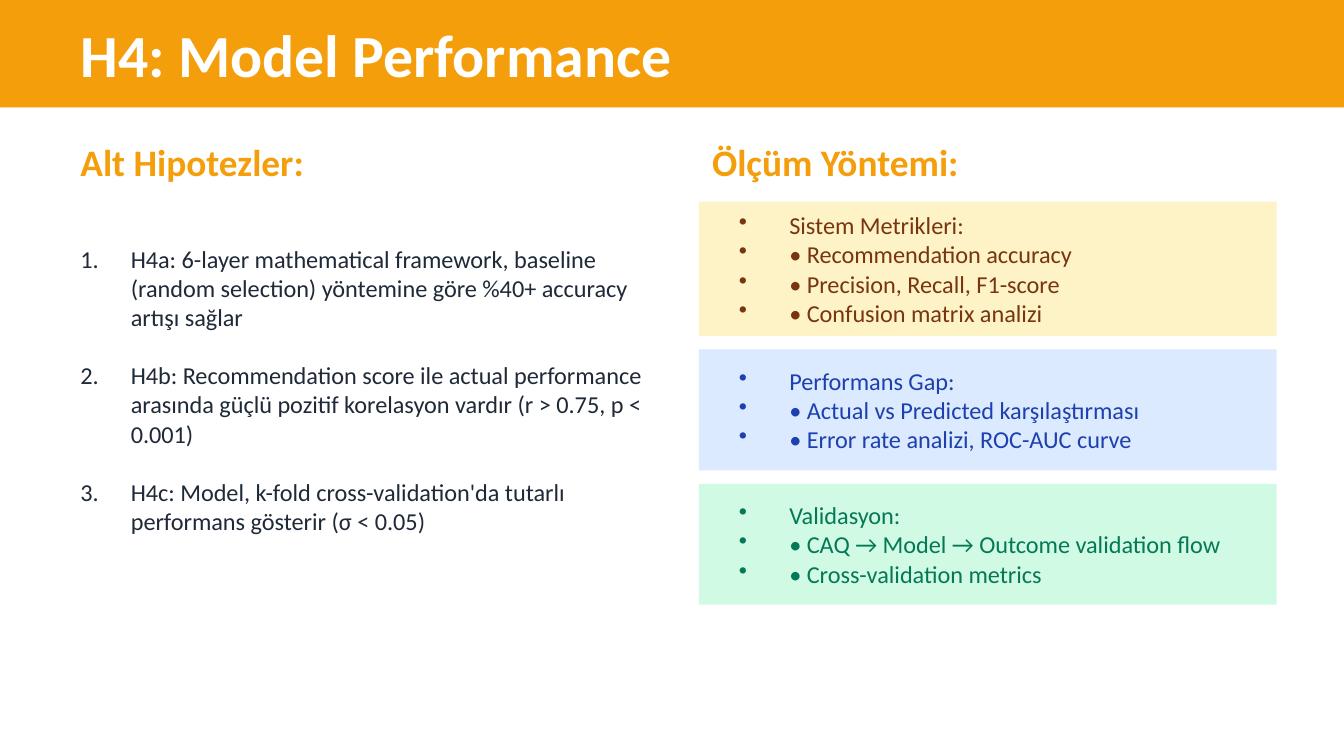
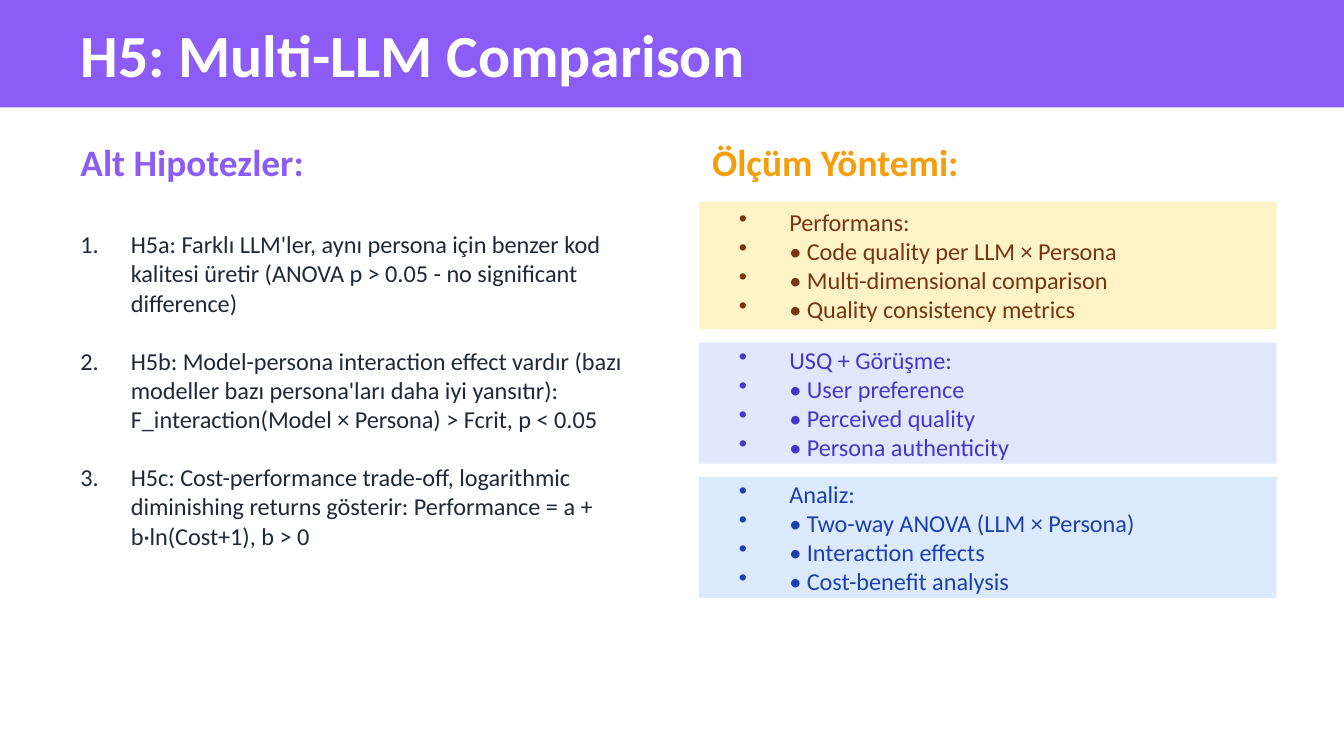
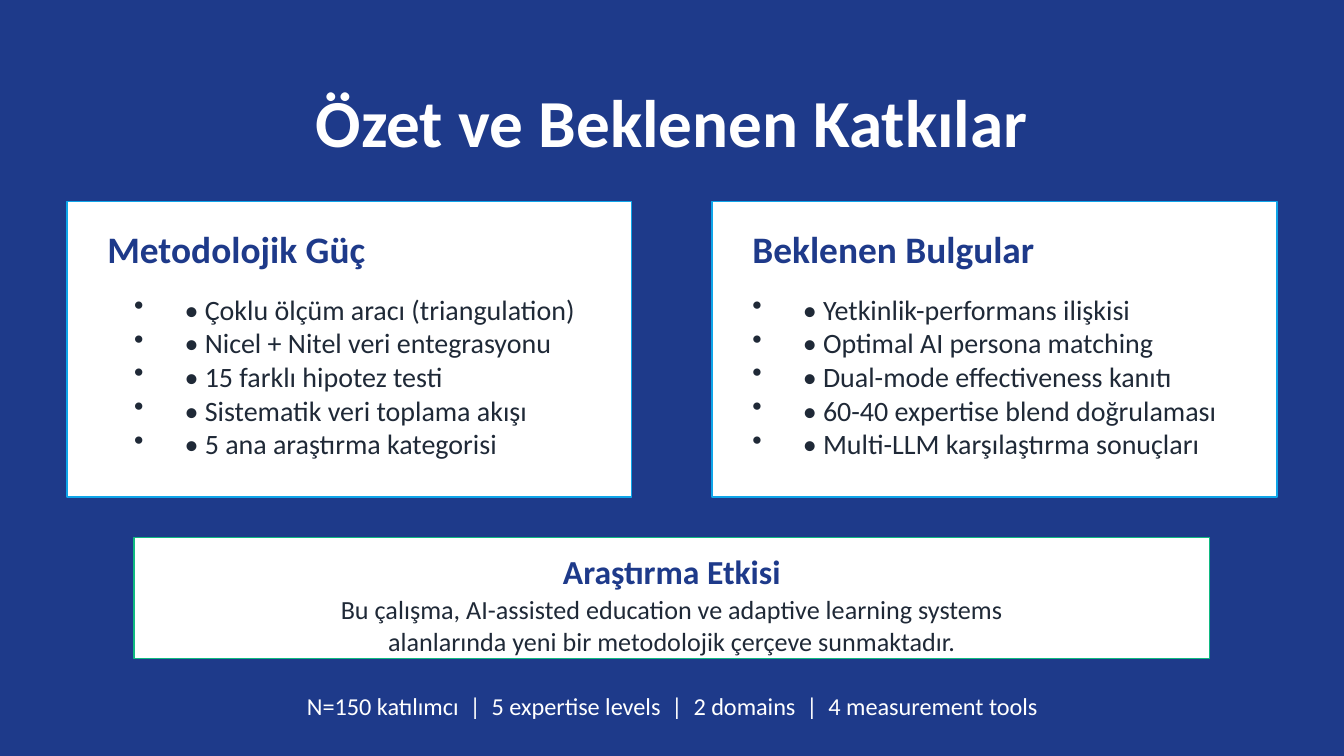
from lxml import etree
from pptx import Presentation
from pptx import util as u
from pptx.dml.color import RGBColor
from pptx.enum import shapes, text
from pptx.oxml.ns import qn

CELL = 0.1  # grid cell in inches: 100 columns across the slide
COLS = 100
ROWS = COLS * 9 / 16
FONT = "Calibri"
WHITE, INK, NAVY = "FFFFFF", "1F2937", "1E3A8A"
AMBER, VIOLET, SKY, GREEN = "F59E0B", "8B5CF6", "0EA5E9", "10B981"
# Panel styles: fill and text colour
SAND = ("FEF3C7", "78350F")
BLUE = ("DBEAFE", "1E40AF")
MINT = ("D1FAE5", "047857")
IRIS = ("E0E7FF", "4338CA")
LEFT, RIGHT = 5, 52
TOP = 15
INDENT = u.Pt(27)
DOT = ("buChar", {"char": "•"})
COUNT = ("buAutoNum", {"type": "arabicPeriod"})


def color(code):
    return RGBColor.from_string(code)


def place(*cells):
    return [u.Inches(cell * CELL) for cell in cells]


def add_slide(deck, back):
    slide = deck.slides.add_slide(deck.slide_layouts[6])
    slide.background.fill.solid()
    slide.background.fill.fore_color.rgb = color(back)
    return slide


def add_box(slide, area, fill, line=None):
    box = slide.shapes.add_shape(shapes.MSO_SHAPE.RECTANGLE, *place(*area))
    box.shadow.inherit = False
    box.fill.solid()
    box.fill.fore_color.rgb = color(fill)
    if line:
        box.line.color.rgb = color(line)
        box.line.width = u.Pt(1)
    else:
        box.line.fill.background()


def add_text(slide, area, lines, size, ink, bold=False, center=False,
             mark=None, gap=0):
    """Write one paragraph a line; gap is the space between them in points."""
    frame = slide.shapes.add_textbox(*place(*area)).text_frame
    frame.word_wrap = True
    frame.vertical_anchor = text.MSO_ANCHOR.MIDDLE
    for i, line in enumerate(lines):
        para = frame.add_paragraph() if i else frame.paragraphs[0]
        para.text = line
        para.font.name = FONT
        para.font.size = u.Pt(size)
        para.font.bold = bold
        para.font.color.rgb = color(ink)
        if center:
            para.alignment = text.PP_ALIGN.CENTER
        if i and gap:
            para.space_before = u.Pt(gap)
        if mark:
            add_mark(para, *mark)


def add_mark(para, tag, attrs):
    """Give a paragraph a hanging bullet or number at full text size."""
    props = para._p.get_or_add_pPr()
    props.set("marL", str(INDENT))
    props.set("indent", str(-INDENT))
    for name, values in (("buSzPct", {"val": "100000"}), (tag, attrs)):
        part = etree.Element(qn("a:" + name), values)
        props.insert_element_before(part, "a:tabLst", "a:defRPr", "a:extLst")


def add_head(slide, col, width, title, ink):
    add_text(slide, (col, 10, width, 4), [title], 20, ink, bold=True)


def add_panels(slide, panels):
    row = TOP
    for height, (fill, ink), lines in panels:
        add_box(slide, (RIGHT, row, 43, height), fill)
        add_text(slide, (RIGHT + 2, row + 1, 40, height - 2), lines, 13, ink,
                 mark=DOT)
        row += height + 1


def add_study(deck, title, tint, claims, panels):
    """Add a slide with hypotheses on the left and measures on the right."""
    slide = add_slide(deck, WHITE)
    add_box(slide, (0, 0, COLS, 8), tint)
    add_text(slide, (LEFT, 1.5, 90, 5), [title], 32, WHITE, bold=True)
    add_head(slide, LEFT, 45, "Alt Hipotezler:", tint)
    add_text(slide, (LEFT, TOP, 45, 28), claims, 13, INK, mark=COUNT, gap=15.6)
    add_head(slide, RIGHT, 43, "Ölçüm Yöntemi:", AMBER)
    add_panels(slide, panels)


def add_card(slide, col, title, points, inset, width):
    add_box(slide, (col, TOP, 42, 22), WHITE, SKY)
    add_text(slide, (col + 2, TOP + 1.5, 38, 4), [title], 20, NAVY, bold=True)
    add_text(slide, (col + inset, TOP + 6, width, 14), points, 15, INK,
             mark=DOT)


def add_summary(deck):
    slide = add_slide(deck, NAVY)
    add_text(slide, (10, 5, 80, 8), ["Özet ve Beklenen Katkılar"], 36, WHITE,
             bold=True, center=True)
    add_card(slide, LEFT, "Metodolojik Güç", [
        "• Çoklu ölçüm aracı (triangulation)",
        "• Nicel + Nitel veri entegrasyonu",
        "• 15 farklı hipotez testi",
        "• Sistematik veri toplama akışı",
        "• 5 ana araştırma kategorisi"], 4, 36)
    add_card(slide, 53, "Beklenen Bulgular", [
        "• Yetkinlik-performans ilişkisi",
        "• Optimal AI persona matching",
        "• Dual-mode effectiveness kanıtı",
        "• 60-40 expertise blend doğrulaması",
        "• Multi-LLM karşılaştırma sonuçları"], 2, 38)
    add_box(slide, (10, 40, 80, 9), WHITE, GREEN)
    add_text(slide, (12, 41, 76, 3), ["Araştırma Etkisi"], 18, NAVY,
             bold=True, center=True)
    add_text(slide, (12, 44.5, 76, 4), [
        "Bu çalışma, AI-assisted education ve adaptive learning systems",
        "alanlarında yeni bir metodolojik çerçeve sunmaktadır."],
        14, INK, center=True)
    add_text(slide, (10, 51, 80, 3), [
        "N=150 katılımcı  |  5 expertise levels  |  2 domains  |  "
        "4 measurement tools"], 13, WHITE, center=True)


def main():
    deck = Presentation()
    deck.slide_width, deck.slide_height = place(COLS, ROWS)
    add_study(deck, "H4: Model Performance", AMBER, [
        "H4a: 6-layer mathematical framework, baseline (random selection) "
        "yöntemine göre %40+ accuracy artışı sağlar",
        "H4b: Recommendation score ile actual performance arasında güçlü "
        "pozitif korelasyon vardır (r > 0.75, p < 0.001)",
        "H4c: Model, k-fold cross-validation'da tutarlı performans gösterir "
        "(σ < 0.05)",
    ], [
        (10, SAND, ["Sistem Metrikleri:", "• Recommendation accuracy",
                    "• Precision, Recall, F1-score",
                    "• Confusion matrix analizi"]),
        (9, BLUE, ["Performans Gap:", "• Actual vs Predicted karşılaştırması",
                   "• Error rate analizi, ROC-AUC curve"]),
        (9, MINT, ["Validasyon:", "• CAQ → Model → Outcome validation flow",
                   "• Cross-validation metrics"]),
    ])
    add_study(deck, "H5: Multi-LLM Comparison", VIOLET, [
        "H5a: Farklı LLM'ler, aynı persona için benzer kod kalitesi üretir "
        "(ANOVA p > 0.05 - no significant difference)",
        "H5b: Model-persona interaction effect vardır (bazı modeller bazı "
        "persona'ları daha iyi yansıtır): F_interaction(Model × Persona) > "
        "Fcrit, p < 0.05",
        "H5c: Cost-performance trade-off, logarithmic diminishing returns "
        "gösterir: Performance = a + b·ln(Cost+1), b > 0",
    ], [
        (9.5, SAND, ["Performans:", "• Code quality per LLM × Persona",
                     "• Multi-dimensional comparison",
                     "• Quality consistency metrics"]),
        (9, IRIS, ["USQ + Görüşme:", "• User preference",
                   "• Perceived quality", "• Persona authenticity"]),
        (9, BLUE, ["Analiz:", "• Two-way ANOVA (LLM × Persona)",
                   "• Interaction effects", "• Cost-benefit analysis"]),
    ])
    add_summary(deck)
    deck.save("out.pptx")


if __name__ == "__main__":
    main()
